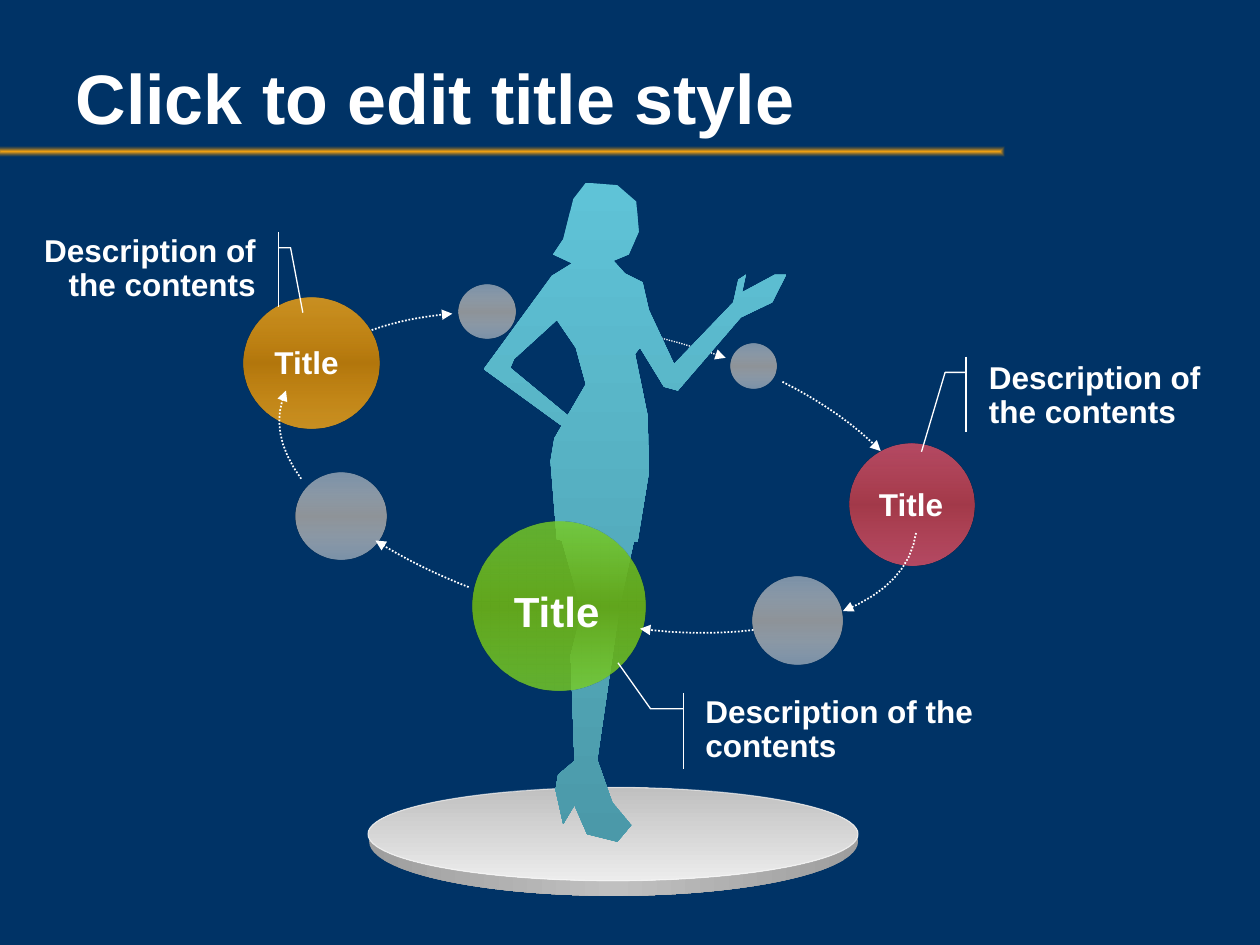
"""Build a slide of titled spheres circling a presenter silhouette on a stage."""
from dataclasses import dataclass

from lxml import etree
from pptx import Presentation
from pptx.dml.color import RGBColor
from pptx.enum.dml import MSO_LINE
from pptx.enum.shapes import MSO_SHAPE
from pptx.enum.text import MSO_ANCHOR, MSO_AUTO_SIZE, PP_ALIGN
from pptx.oxml import parse_xml
from pptx.oxml.ns import nsdecls, qn
from pptx.util import Inches, Pt

OVAL, RECTANGLE = MSO_SHAPE.OVAL, MSO_SHAPE.RECTANGLE
CALLOUT = MSO_SHAPE.LINE_CALLOUT_2_ACCENT_BAR
DOTTED = MSO_LINE.ROUND_DOT
LEFT, CENTER, RIGHT = PP_ALIGN.LEFT, PP_ALIGN.CENTER, PP_ALIGN.RIGHT
TOP, MIDDLE = MSO_ANCHOR.TOP, MSO_ANCHOR.MIDDLE
WHITE, NAVY, FONT = "FFFFFF", "003366", "Arial"
CURVE_STEPS = 8
ELBOW_HEIGHT = 0.21
DOWNWARD = '<a:lin ang="5400000" scaled="0"/>'
ACROSS = '<a:lin ang="0" scaled="0"/>'
FROM_CENTER = ('<a:path path="shape"><a:fillToRect l="50000" t="50000" '
               'r="50000" b="50000"/></a:path>')

Point = tuple[float, float]
Box = tuple[float, float, float, float]
Stop = tuple[int, str, int]


@dataclass
class Sphere:
    box: Box
    edge: str = "DDDDDD"
    middle: str = "9E9E9E"
    edge_alpha: int = 55
    middle_alpha: int = 90
    rotation: float = 0


@dataclass
class Arc:
    start: Point
    bend: Point
    end: Point
    width: float = 1


@dataclass
class Label:
    box: Box
    size: int = 18
    align: PP_ALIGN = LEFT


@dataclass
class Callout:
    box: Box
    bar: float
    elbow: float
    tip: Point
    align: PP_ALIGN = LEFT
    anchor: MSO_ANCHOR = MIDDLE


SPHERES = [
    Sphere((3.64, 2.26, 0.45, 0.43)),
    Sphere((5.8, 2.73, 0.36, 0.35)),
    Sphere((6.74, 3.52, 0.99, 0.97), "E45267", "A33B4A", 79, 100, 11.5),
    Sphere((1.93, 2.36, 1.08, 1.04), "FAA712", "B3770D", 80, 100),
    Sphere((2.35, 3.75, 0.72, 0.69)),
    Sphere((3.75, 4.14, 1.37, 1.34), "79CE24", "61A51D", 80, 100),
    Sphere((5.97, 4.58, 0.72, 0.69)),
]
REAR_ARC = Arc((4.28, 2.53), (5, 2.57), (5.76, 2.84), 0.75)
FRONT_ARCS = [
    Arc((6.21, 3.03), (6.7, 3.28), (6.99, 3.58)),
    Arc((7.27, 4.23), (7.21, 4.64), (6.69, 4.85)),
    Arc((5.98, 5), (5.54, 5.05), (5.08, 4.99)),
    Arc((3.72, 4.66), (3.31, 4.5), (2.98, 4.29)),
    Arc((2.39, 3.8), (2.12, 3.43), (2.27, 3.1)),
    Arc((2.95, 2.62), (3.23, 2.52), (3.59, 2.49)),
]
LABELS = [
    Label((2.08, 2.67, 0.72, 0.4)),
    Label((3.98, 4.6, 0.89, 0.5), 24),
    Label((6.87, 3.8, 0.72, 0.4), align=CENTER),
]
CALLOUTS = [
    Callout((7.75, 2.83, 2.08, 0.6), -0.04, -0.12, (-0.21, 1.26), anchor=TOP),
    Callout((5.5, 5.5, 2.59, 0.6), -0.03, -0.13, (-0.23, -0.4)),
    Callout((0.17, 1.84, 1.96, 0.6), 1.04, 1.09, (1.14, 1.07), RIGHT),
]
SILHOUETTE: list[Point] = [
    (4.87, 2.07), (4.99, 2.02), (5.07, 1.84), (5.05, 1.6), (4.9, 1.47), (4.65, 1.45),
    (4.55, 1.58), (4.47, 1.9), (4.39, 2.02), (4.54, 2.09), (4.38, 2.19), (3.84, 2.93),
    (4.46, 3.38), (4.51, 3.3), (4.05, 2.92), (4.08, 2.85), (4.42, 2.54), (4.57, 2.76),
    (4.65, 3.05), (4.4, 3.48), (4.37, 3.66), (4.42, 4.28), (4.46, 4.29), (4.62, 4.85),
    (4.53, 5.2), (4.56, 6.04), (4.43, 6.15), (4.41, 6.27), (4.47, 6.54), (4.56, 6.39),
    (4.66, 6.62), (4.9, 6.68), (5.01, 6.55), (4.86, 6.37), (4.74, 6.03), (4.92, 4.8),
    (5.03, 4.3), (5.06, 4.3), (5.15, 3.75), (5.14, 3.3), (5.04, 2.81), (5.08, 2.76),
    (5.27, 3.07), (5.38, 3.1), (5.88, 2.52), (6.13, 2.4), (6.24, 2.18), (6.15, 2.18),
    (5.89, 2.32), (5.92, 2.18), (5.86, 2.22), (5.82, 2.4), (5.35, 2.89), (5.15, 2.46),
    (5.1, 2.24), (4.96, 2.17),
]


def color(value: str) -> RGBColor:
    return RGBColor.from_string(value)


def inches(values: tuple[float, ...]) -> list[Inches]:
    return [Inches(value) for value in values]


def fill_gradient(shape, stops: list[Stop], direction: str = DOWNWARD) -> None:
    shape.fill.background()
    stop_xml = "".join(
        f'<a:gs pos="{position * 1000}"><a:srgbClr val="{value}">'
        f'<a:alpha val="{alpha * 1000}"/></a:srgbClr></a:gs>' for position, value, alpha in stops)
    properties = shape.element.spPr
    properties.replace(properties.find(qn("a:noFill")), parse_xml(
        f'<a:gradFill {nsdecls("a")} rotWithShape="0"><a:gsLst>{stop_xml}</a:gsLst>{direction}</a:gradFill>'))


def outline(shape, width: float):
    shape.line.color.rgb = color(WHITE)
    shape.line.width = Pt(width)
    return shape.element.spPr.find(qn("a:ln"))


def make_plain(shape):
    shape.shadow.inherit = False
    shape.fill.background()
    shape.line.fill.background()
    return shape


def add_plain(slide, kind: MSO_SHAPE, box: Box):
    return make_plain(slide.shapes.add_shape(kind, *inches(box)))


def add_path(slide, points: list[Point], close: bool):
    start, *others = [inches(point) for point in points]
    builder = slide.shapes.build_freeform(*start, scale=1.0)
    builder.add_line_segments(others, close=close)
    return make_plain(builder.convert_to_shape())


def add_arc(slide, arc: Arc) -> None:
    points = []
    for index in range(CURVE_STEPS + 1):
        t = index / CURVE_STEPS
        points.append(tuple((1 - t) ** 2 * start + 2 * t * (1 - t) * bend + t * t * end
                            for start, bend, end in zip(arc.start, arc.bend, arc.end)))
    shape = add_path(slide, points, False)
    line = outline(shape, arc.width)
    shape.line.dash_style = DOTTED
    etree.SubElement(line, qn("a:tailEnd"), type="triangle")


def write(shape, text: str, size: int, align: PP_ALIGN, anchor: MSO_ANCHOR, wrap: bool = True):
    frame = shape.text_frame
    frame.word_wrap = wrap
    frame.vertical_anchor = anchor
    paragraph = frame.paragraphs[0]
    paragraph.alignment = align
    run = paragraph.add_run()
    run.text = text
    run.font.name, run.font.size, run.font.bold = FONT, Pt(size), True
    run.font.color.rgb = color(WHITE)
    return paragraph


def add_sphere(slide, sphere: Sphere) -> None:
    shape = add_plain(slide, OVAL, sphere.box)
    shape.rotation = sphere.rotation
    fill_gradient(shape, [(0, sphere.edge, sphere.edge_alpha), (50, sphere.middle, sphere.middle_alpha),
                          (100, sphere.edge, sphere.edge_alpha)])


def add_callout(slide, callout: Callout) -> None:
    shape = add_plain(slide, CALLOUT, callout.box)
    tip_x, tip_y = callout.tip
    for index, value in enumerate((ELBOW_HEIGHT, callout.bar, ELBOW_HEIGHT, callout.elbow, tip_y, tip_x)):
        shape.adjustments[index] = value
    outline(shape, 0.75)
    paragraph = write(shape, "Description of the contents", 18, callout.align, callout.anchor)
    paragraph.line_spacing = 0.9


def add_stage(slide) -> None:
    side = add_plain(slide, OVAL, (2.93, 6.25, 3.88, 0.86))
    fill_gradient(side, [(0, "9E9E9E", 100), (50, "C0C0C0", 100), (100, "9E9E9E", 100)], ACROSS)
    surface = add_plain(slide, OVAL, (2.92, 6.25, 3.89, 0.74))
    fill_gradient(surface, [(0, "C0C0C0", 100), (100, "ECECEC", 100)])
    line = outline(surface, 0.75)
    etree.SubElement(line.find(".//" + qn("a:srgbClr")), qn("a:alpha"), val="50000")


def main() -> None:
    presentation = Presentation()
    presentation.slide_width, presentation.slide_height = inches((10, 7.5))
    slide = presentation.slides.add_slide(presentation.slide_layouts[5])
    slide.background.fill.solid()
    slide.background.fill.fore_color.rgb = color(NAVY)
    title = slide.shapes.title
    title.left, title.top, title.width, title.height = inches((0.5, 0.18, 8.58, 1.17))
    title.text_frame.auto_size = MSO_AUTO_SIZE.NONE
    write(title, "Click to edit title style", 40, LEFT, MIDDLE)
    rule = add_plain(slide, RECTANGLE, (-0.03, 1.16, 8, 0.08))
    fill_gradient(rule, [(0, "FAA712", 100), (100, "B3770D", 0)], FROM_CENTER)
    add_arc(slide, REAR_ARC)
    add_stage(slide)
    presenter = add_path(slide, SILHOUETTE, True)
    fill_gradient(presenter, [(0, "5FC3D7", 100), (100, "4B99A9", 100)])
    for sphere in SPHERES:
        add_sphere(slide, sphere)
    for arc in FRONT_ARCS:
        add_arc(slide, arc)
    for label in LABELS:
        write(slide.shapes.add_textbox(*inches(label.box)), "Title", label.size, label.align, TOP, False)
    for callout in CALLOUTS:
        add_callout(slide, callout)
    presentation.save("out.pptx")


if __name__ == "__main__":
    main()
